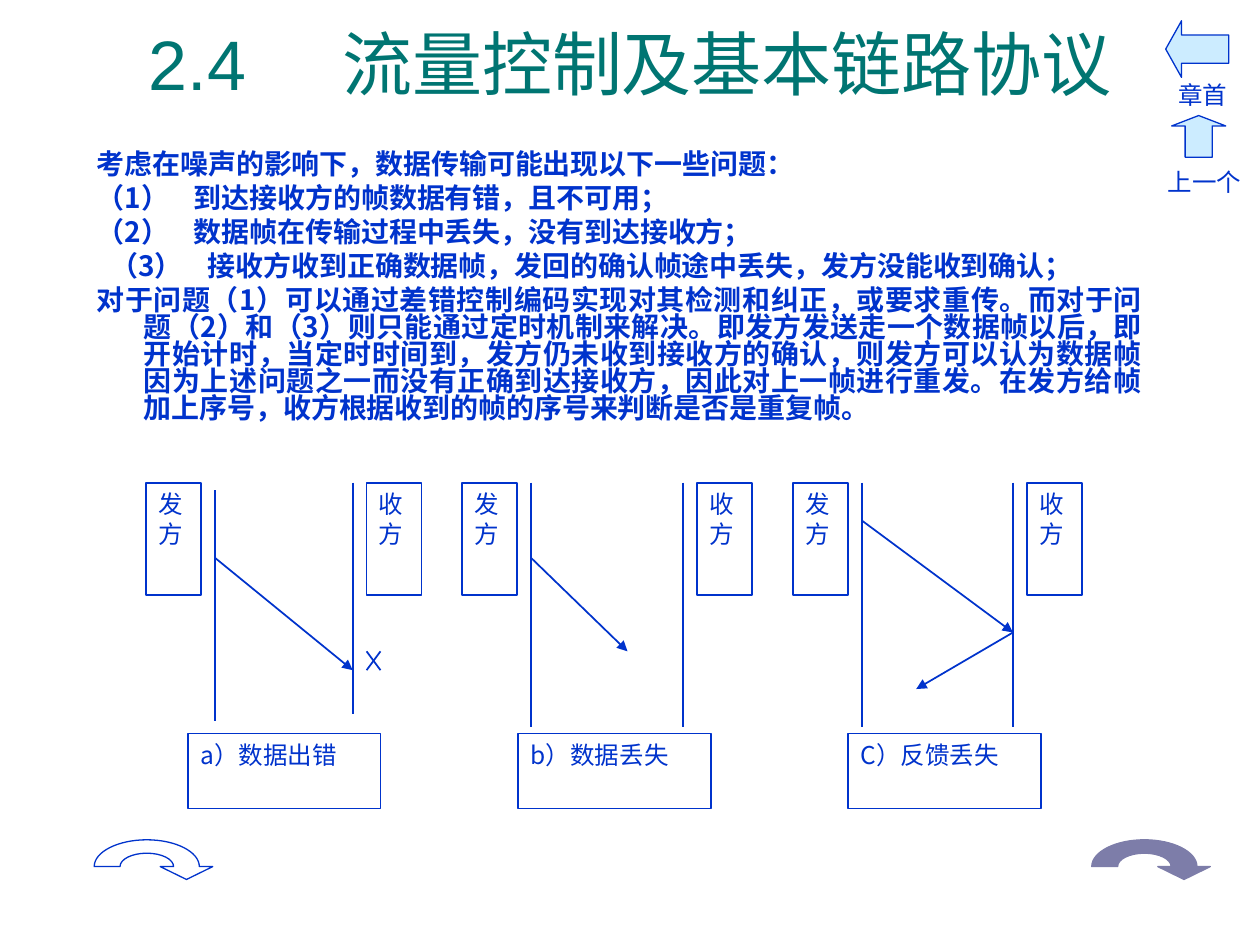
from dataclasses import dataclass

from lxml.etree import SubElement
from pptx import Presentation
from pptx.dml.color import RGBColor
from pptx.enum.shapes import MSO_CONNECTOR as Connector, MSO_SHAPE as Preset
from pptx.enum.text import MSO_ANCHOR as Anchor, PP_ALIGN as Align
from pptx.oxml.ns import qn
from pptx.util import Cm, Pt


@dataclass(frozen=True)
class Theme:
    title: str = "007572"
    ink: str = "0033CC"
    button: str = "CCECFF"
    paper: str = "FFFFFF"
    muted: str = "7D7DA9"
    title_size: int = 40
    body_size: int = 16
    label_size: int = 14
    title_font: str = "Arial"
    label_font: str = "Times New Roman"
    chinese_font: str = "Noto Sans CJK SC"
    thin: float = 0.75
    line: float = 1


THEME = Theme()

# All lengths are in centimetres.
TITLE = "2.4\t流量控制及基本链路协议"
# Text, left margin, first-line indent
BODY = [
    ("考虑在噪声的影响下，数据传输可能出现以下一些问题：", 0.95, -0.95),
    ("（1）\t到达接收方的帧数据有错，且不可用；", 1.96, -1.96),
    ("（2）\t数据帧在传输过程中丢失，没有到达接收方；", 1.96, -1.96),
    ("（3）\t接收方收到正确数据帧，发回的确认帧途中丢失，发方没能收到确认；", 2.24, -1.96),
    ("对于问题（1）可以通过差错控制编码实现对其检测和纠正，或要求重传。"
     "而对于问题（2）和（3）则只能通过定时机制来解决。"
     "即发方发送走一个数据帧以后，即开始计时，当定时时间到，"
     "发方仍未收到接收方的确认，则发方可以认为数据帧因为上述问题之一"
     "而没有正确到达接收方，因此对上一帧进行重发。在发方给帧加上序号，"
     "收方根据收到的帧的序号来判断是否是重复帧。", 0.95, -0.95),
]
BUTTONS = [
    (Preset.LEFT_ARROW, (23.5, 0.42, 1.27, 1.14), 0.28),
    (Preset.UP_ARROW, (23.62, 2.33, 1.09, 0.84), 0.25),
]
BUTTON_LABELS = [
    ("章首", (23.5, 1.48, 1.5, 0.86), False),
    ("上一个", (23.29, 3.24, 2.11, 0.86), True),
]
CURVED_ARROWS = [(1.9, THEME.paper, THEME.ink), (22.01, THEME.muted, THEME.muted)]
SENDER, RECEIVER = "发方", "收方"
# Lifelines are (x, top, bottom); messages are (x1, y1, x2, y2).
DIAGRAMS = [
    {"caption": "a）数据出错",
     "sender": (4.34, 9.88, 14.53), "receiver": (7.11, 9.73, 14.4),
     "messages": [(4.34, 11.25, 7.11, 13.51)]},
    {"caption": "b）数据丢失",
     "sender": (10.71, 9.73, 14.66), "receiver": (13.77, 9.73, 14.66),
     "messages": [(10.71, 11.25, 12.65, 13.13)]},
    {"caption": "C）反馈丢失",
     "sender": (17.37, 9.73, 14.66), "receiver": (20.42, 9.73, 14.66),
     "messages": [(17.37, 10.49, 20.42, 12.75), (20.42, 12.75, 18.47, 13.89)]},
]
ERROR_CROSS = [(7.67, 13.13, 7.39, 13.51), (7.39, 13.13, 7.67, 13.51)]
PARTY_TOP, PARTY_WIDTH, PARTY_HEIGHT, PARTY_GAP = 9.74, 1.11, 2.26, 0.28
CAPTION_TOP, CAPTION_WIDTH, CAPTION_HEIGHT, CAPTION_SHIFT = 14.79, 3.88, 1.51, 3.32


def colour(code):
    return RGBColor.from_string(code)


def set_font(paragraph, size, name, code, bold=False):
    font = paragraph.font
    font.size, font.name, font.bold = Pt(size), name, bold
    font.color.rgb = colour(code)
    defaults = paragraph._p.pPr.find(qn("a:defRPr"))
    SubElement(defaults, qn("a:ea"), typeface=THEME.chinese_font)


def set_indent(paragraph, margin, indent):
    """Set a hanging indent; a tab in the first line stops at the margin."""
    properties = paragraph._p.get_or_add_pPr()
    properties.set("marL", str(Cm(margin)))
    properties.set("indent", str(Cm(indent)))


def paint(shape, fill, line, width):
    shape.shadow.inherit = False
    if fill:
        shape.fill.solid()
        shape.fill.fore_color.rgb = colour(fill)
    else:
        shape.fill.background()
    shape.line.color.rgb = colour(line)
    shape.line.width = Pt(width)


def add_text_box(page, place, wrap=True):
    box = page.shapes.add_textbox(*map(Cm, place))
    box.text_frame.word_wrap = wrap
    return box.text_frame


def add_label_box(page, text, place, font_name):
    box = page.shapes.add_shape(Preset.RECTANGLE, *map(Cm, place))
    paint(box, None, THEME.ink, THEME.line)
    frame = box.text_frame
    frame.word_wrap, frame.vertical_anchor = True, Anchor.TOP
    paragraph = frame.paragraphs[0]
    paragraph.text, paragraph.alignment = text, Align.JUSTIFY
    set_font(paragraph, THEME.label_size, font_name, THEME.ink)


def add_line(page, ends, arrow=False):
    line = page.shapes.add_connector(Connector.STRAIGHT, *map(Cm, ends))
    line.line.color.rgb = colour(THEME.ink)
    line.line.width = Pt(THEME.line)
    if arrow:
        SubElement(line.line._get_or_add_ln(), qn("a:tailEnd"), type="triangle")
    SubElement(line._element.spPr, qn("a:effectLst"))


def bend(segment, start, rising):
    """Turn a straight segment into a quarter of an ellipse."""
    end = segment.find(qn("a:pt"))
    x1, y1, x2, y2 = (int(point.get(axis)) for point in (start, end) for axis in "xy")
    near, far = 0.55, 0.45
    if rising:
        controls = [(x1, y1 + near * (y2 - y1)), (x1 + far * (x2 - x1), y2)]
    else:
        controls = [(x1 + near * (x2 - x1), y1), (x2, y1 + far * (y2 - y1))]
    segment.addprevious(curve := segment.makeelement(qn("a:cubicBezTo")))
    for x, y in controls + [(x2, y2)]:
        SubElement(curve, qn("a:pt"), x=str(round(x)), y=str(round(y)))
    segment.getparent().remove(segment)


def add_curved_arrow(page, left, fill, line):
    """Draw a half ring, open downwards, that ends in an arrowhead."""
    centre, base = left + 1.06, 17.47
    inner = [(centre + 0.54, base), (centre, base - 0.27), (centre - 0.54, base)]
    outer = [(left, base), (centre, base - 0.54), (centre + 1.06, base)]
    head = [(centre + 1.33, base), (centre + 0.8, base + 0.26), (centre + 0.27, base)]
    corners = [(Cm(x), Cm(y)) for x, y in inner + outer + head]
    builder = page.shapes.build_freeform(*corners[0])
    builder.add_line_segments(corners[1:-1] + corners[-1:], close=True)
    arrow = builder.convert_to_shape()
    points = list(arrow._element.iter(qn("a:pt")))
    for index, rising in ((1, True), (2, False), (4, True), (5, False)):
        bend(points[index].getparent(), points[index - 1], rising)
    paint(arrow, fill, line, THEME.thin)


def add_title(page):
    frame = add_text_box(page, (1.9, 0.42, 21.6, 1.7))
    frame.vertical_anchor = Anchor.MIDDLE
    paragraph = frame.paragraphs[0]
    paragraph.text = TITLE
    set_indent(paragraph, 4.75, -3.9)
    set_font(paragraph, THEME.title_size, THEME.title_font, THEME.title)


def add_body(page):
    frame = add_text_box(page, (1.7, 2.97, 21.6, 6.15))
    for number, (text, margin, indent) in enumerate(BODY):
        paragraph = frame.add_paragraph() if number else frame.paragraphs[0]
        paragraph.text, paragraph.alignment = text, Align.JUSTIFY
        paragraph.line_spacing = 0.8
        if number:
            paragraph.space_before = Pt(4)
        set_indent(paragraph, margin, indent)
        set_font(paragraph, THEME.body_size, THEME.chinese_font, THEME.ink, bold=True)


def add_navigation(page):
    for preset, place, head in BUTTONS:
        button = page.shapes.add_shape(preset, *map(Cm, place))
        button.adjustments[1] = head
        paint(button, THEME.button, THEME.ink, THEME.thin)
    for text, place, wrap in BUTTON_LABELS:
        paragraph = add_text_box(page, place, wrap).paragraphs[0]
        paragraph.text = text
        set_font(paragraph, THEME.label_size, THEME.label_font, THEME.ink)
    for arrow in CURVED_ARROWS:
        add_curved_arrow(page, *arrow)


def add_diagram(page, diagram):
    sender_x, receiver_x = diagram["sender"][0], diagram["receiver"][0]
    for x, top, bottom in (diagram["sender"], diagram["receiver"]):
        add_line(page, (x, top, x, bottom))
    for message in diagram["messages"]:
        add_line(page, message, arrow=True)
    parties = [(SENDER, sender_x - PARTY_GAP - PARTY_WIDTH),
               (RECEIVER, receiver_x + PARTY_GAP)]
    for name, left in parties:
        place = (left, PARTY_TOP, PARTY_WIDTH, PARTY_HEIGHT)
        add_label_box(page, name, place, THEME.label_font)
    place = (receiver_x - CAPTION_SHIFT, CAPTION_TOP, CAPTION_WIDTH, CAPTION_HEIGHT)
    add_label_box(page, diagram["caption"], place, THEME.chinese_font)


def main():
    deck = Presentation()
    deck.slide_width, deck.slide_height = Cm(25.4), Cm(19.05)
    page = deck.slides.add_slide(deck.slide_layouts[6])
    for add_part in (add_title, add_navigation, add_body):
        add_part(page)
    for diagram in DIAGRAMS:
        add_diagram(page, diagram)
    for stroke in ERROR_CROSS:
        add_line(page, stroke)
    deck.save("out.pptx")


if __name__ == "__main__":
    main()
